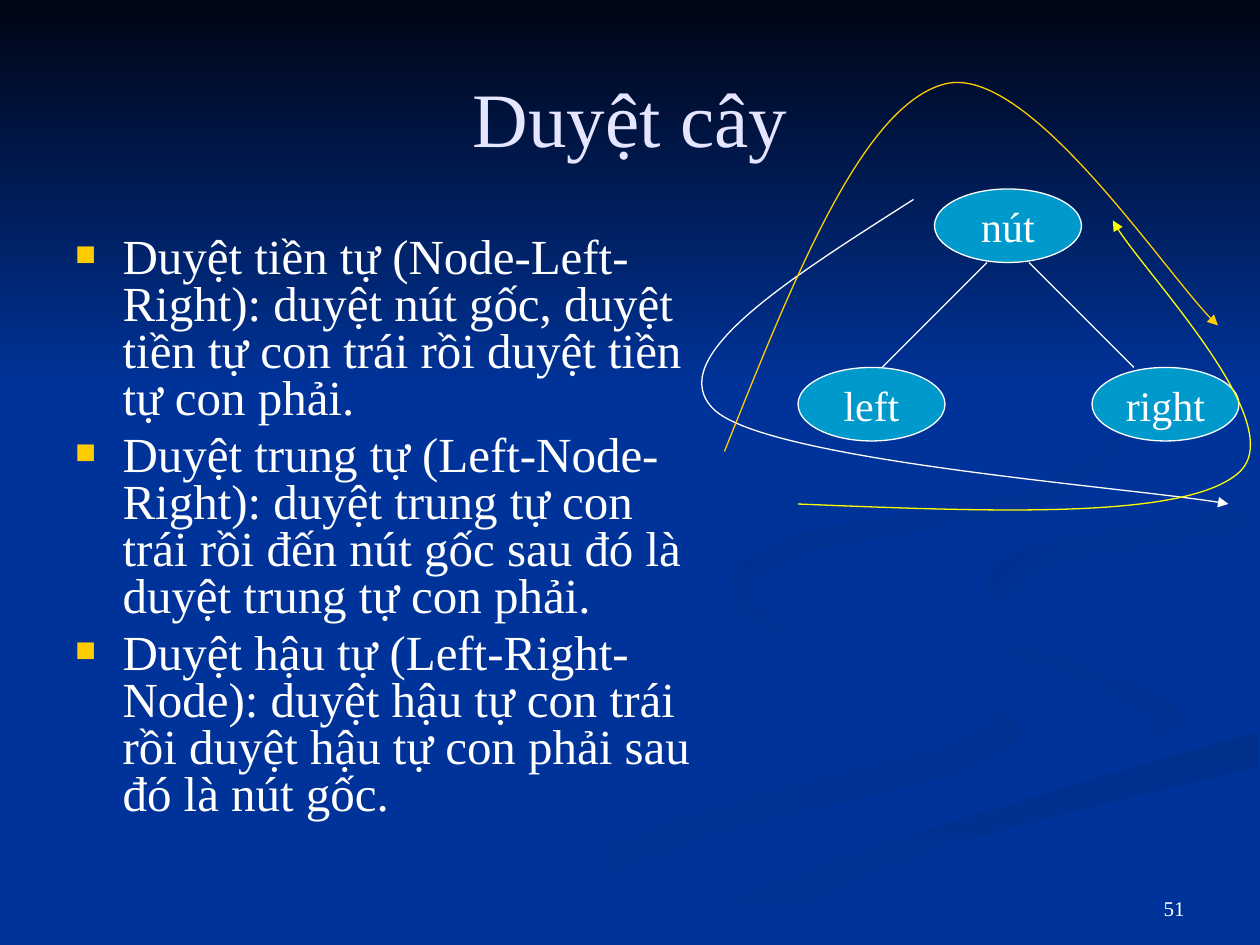
from lxml import etree
from pptx import Presentation
from pptx.dml.color import RGBColor
from pptx.enum.shapes import MSO_CONNECTOR, MSO_SHAPE
from pptx.enum.text import MSO_ANCHOR, PP_ALIGN
from pptx.oxml.ns import qn
from pptx.util import Pt

LEFT, CENTER, RIGHT = PP_ALIGN.LEFT, PP_ALIGN.CENTER, PP_ALIGN.RIGHT
TOP, MIDDLE, BOTTOM = MSO_ANCHOR.TOP, MSO_ANCHOR.MIDDLE, MSO_ANCHOR.BOTTOM

FONT = "Times New Roman"
COLORS = {
    "background": "003399", "night": "000514", "title": "E5E5FF",
    "text": "FFFFFF", "node": "0099CC", "gold": "FFCC00", "yellow": "FFFF00",
    "shade": "003193", "shade_deep": "002F8C", "shade_mid": "003091",
    "shade_upper": "002F8E",
}

TITLE = "Duyệt cây"
PAGE_NUMBER = "51"
TRAVERSALS = [
    "Duyệt tiền tự (Node-Left-Right): duyệt nút gốc, duyệt tiền tự con trái "
    "rồi duyệt tiền tự con phải.",
    "Duyệt trung tự (Left-Node-Right): duyệt trung tự con trái rồi đến nút gốc "
    "sau đó là duyệt trung tự con phải.",
    "Duyệt hậu tự (Left-Right-Node): duyệt hậu tự con trái rồi duyệt hậu tự "
    "con phải sau đó là nút gốc.",
]

# Node label: left, top
NODES = {"nút": (534, 108), "left": (456, 210), "right": (624, 210)}
NODE_SIZE = (84, 42)
BRANCHES = [((564, 150), (504, 210)), ((588, 150), (648, 210))]

# Colour, then a start point followed by Bézier triples
ORDER_CURVES = [
    ("text", [(522, 114), (450, 160), (378, 205), (408, 234),
              (438, 263), (653, 279), (702, 288)]),
    ("gold", [(414, 258), (453.6, 159), (493, 60), (540, 48),
              (587, 36), (670, 162.7), (696, 186)]),
    ("yellow", [(456, 288), (567, 292.5), (678, 297), (708, 270),
                (738, 243), (648, 150), (636, 126)]),
]

# First colour, last colour, clockwise angle, then the two edges of the ribbon
RIBBONS = [
    ("background", "shade", 0,
     [(414, 330), (427, 354), (502, 378), (562, 400), (546, 425), (388, 467),
      (216, 539)],
     [(260, 539), (406, 479), (562, 436), (570, 404), (462, 365), (414, 330)]),
    ("background", "shade", 45,
     [(521, 334), (546, 364), (634, 395), (661, 418), (644, 436)],
     [(679, 410), (639, 385), (546, 358), (521, 334)]),
    ("shade_deep", "background", 90,
     [(362, 539), (454, 499), (598, 453), (719, 418)],
     [(719, 438), (541, 484), (411, 539)]),
    ("background", "background", 0,
     [(343, 539), (446, 492), (634, 438), (679, 410), (613, 377), (546, 358),
      (522, 334), (554, 307), (719, 279)],
     [(719, 289), (612, 307), (562, 333), (624, 366), (719, 387)],
     [(719, 418), (598, 453), (454, 499), (374, 538)]),
    ("shade_mid", "background", 45,
     [(595, 357), (563, 338), (591, 311), (719, 289)],
     [(719, 302), (607, 323), (580, 343), (595, 357)]),
    ("shade_upper", "background", 45,
     [(549, 168), (622, 210), (644, 248), (594, 289), (467, 314), (427, 338),
      (448, 360)],
     [(415, 333), (450, 307), (589, 278), (640, 241), (616, 205), (549, 168)]),
]


def rgb(name):
    return RGBColor.from_string(COLORS[name])


def smooth(edge):
    """Return the edge's start and the Bézier triples passing through its points."""
    points = [edge[0]]
    for i, (start, end) in enumerate(zip(edge, edge[1:])):
        before, after = edge[max(i - 1, 0)], edge[min(i + 2, len(edge) - 1)]
        points += [tuple(s + (e - b) / 6 for s, e, b in zip(start, end, before)),
                   tuple(e - (a - s) / 6 for s, e, a in zip(start, end, after)),
                   end]
    return points


def add_curve(shapes, points, close):
    """Draw a start point followed by Bézier triples."""
    corners = [(Pt(x), Pt(y)) for x, y in points]
    builder = shapes.build_freeform(*corners[0])
    builder.add_line_segments(corners[1:], close=close)
    curve = builder.convert_to_shape()
    curve.shadow.inherit = False
    segments = list(curve.element.iter(qn("a:lnTo")))
    for i in range(0, len(segments), 3):
        bezier = etree.Element(qn("a:cubicBezTo"))
        segments[i].addprevious(bezier)
        for segment in segments[i:i + 3]:
            bezier.append(segment[0])
            segment.getparent().remove(segment)
    return curve


def paint(shape, first, last, angle):
    shape.line.fill.background()
    if first == last:
        shape.fill.solid()
        shape.fill.fore_color.rgb = rgb(first)
        return
    shape.fill.gradient()
    shape.fill.gradient_angle = -angle % 360
    for stop, color in zip(shape.fill.gradient_stops, (first, last)):
        stop.color.rgb = rgb(color)


def add_ribbon(shapes, first, last, angle, *edges):
    points = smooth(edges[0])
    for edge in edges[1:]:
        points += [points[-1], edge[0]] + smooth(edge)
    paint(add_curve(shapes, points, True), first, last, angle)


def style_line(line, color):
    line.color.rgb = rgb(color)
    line.width = Pt(0.75)


def set_text(frame, texts, size, color, align, anchor, wrap=True):
    frame.word_wrap = wrap
    frame.vertical_anchor = anchor
    frame.text = "\n".join(texts)
    for paragraph in frame.paragraphs:
        paragraph.alignment = align
        paragraph.font.name = FONT
        paragraph.font.size = Pt(size)
        paragraph.font.color.rgb = rgb(color)


def add_bullet(paragraph):
    properties = paragraph.font._element.getparent()
    properties.set("marL", str(Pt(27)))
    properties.set("indent", str(Pt(-27)))
    bullet_color = etree.Element(qn("a:buClr"))
    etree.SubElement(bullet_color, qn("a:srgbClr"), val=COLORS["gold"])
    parts = [bullet_color,
             etree.Element(qn("a:buSzPct"), val="70000"),
             etree.Element(qn("a:buFont"), typeface=FONT),
             etree.Element(qn("a:buChar"), char="■")]
    for part in parts:
        properties.find(qn("a:defRPr")).addprevious(part)


def main():
    deck = Presentation()
    deck.slide_width, deck.slide_height = Pt(720), Pt(540)
    slide = deck.slides.add_slide(deck.slide_layouts[6])
    slide.background.fill.solid()
    slide.background.fill.fore_color.rgb = rgb("background")
    shapes = slide.shapes

    for ribbon in RIBBONS:
        add_ribbon(shapes, *ribbon)
    sky = shapes.add_shape(MSO_SHAPE.RECTANGLE, 0, 0, deck.slide_width, Pt(222))
    sky.shadow.inherit = False
    paint(sky, "night", "background", 90)

    number = shapes.add_textbox(Pt(516), Pt(492), Pt(168), Pt(37.5))
    set_text(number.text_frame, [PAGE_NUMBER], 12, "text", RIGHT, BOTTOM)
    title = shapes.add_textbox(Pt(36), Pt(21.6), Pt(648), Pt(90))
    set_text(title.text_frame, [TITLE], 44, "title", CENTER, MIDDLE)

    body = shapes.add_textbox(Pt(36), Pt(126), Pt(366), Pt(356.4)).text_frame
    set_text(body, TRAVERSALS, 28, "text", LEFT, TOP)
    body.margin_top = Pt(9.2)
    for index, paragraph in enumerate(body.paragraphs):
        paragraph.line_spacing = 0.8
        paragraph.space_before = Pt(5.6 if index else 0)
        add_bullet(paragraph)

    for label, (left, top) in NODES.items():
        node = shapes.add_shape(MSO_SHAPE.OVAL, Pt(left), Pt(top), *map(Pt, NODE_SIZE))
        node.shadow.inherit = False
        node.fill.solid()
        node.fill.fore_color.rgb = rgb("node")
        style_line(node.line, "text")
        set_text(node.text_frame, [label], 24, "text", CENTER, MIDDLE, wrap=False)
    for start, end in BRANCHES:
        branch = shapes.add_connector(MSO_CONNECTOR.STRAIGHT, *map(Pt, start + end))
        style_line(branch.line, "text")
        etree.SubElement(branch.element.spPr, qn("a:effectLst"))
    for color, points in ORDER_CURVES:
        curve = add_curve(shapes, points, False)
        curve.fill.background()
        style_line(curve.line, color)
        outline = curve.element.spPr.find(qn("a:ln"))
        etree.SubElement(outline, qn("a:tailEnd"), type="triangle")

    deck.save("out.pptx")


if __name__ == "__main__":
    main()
